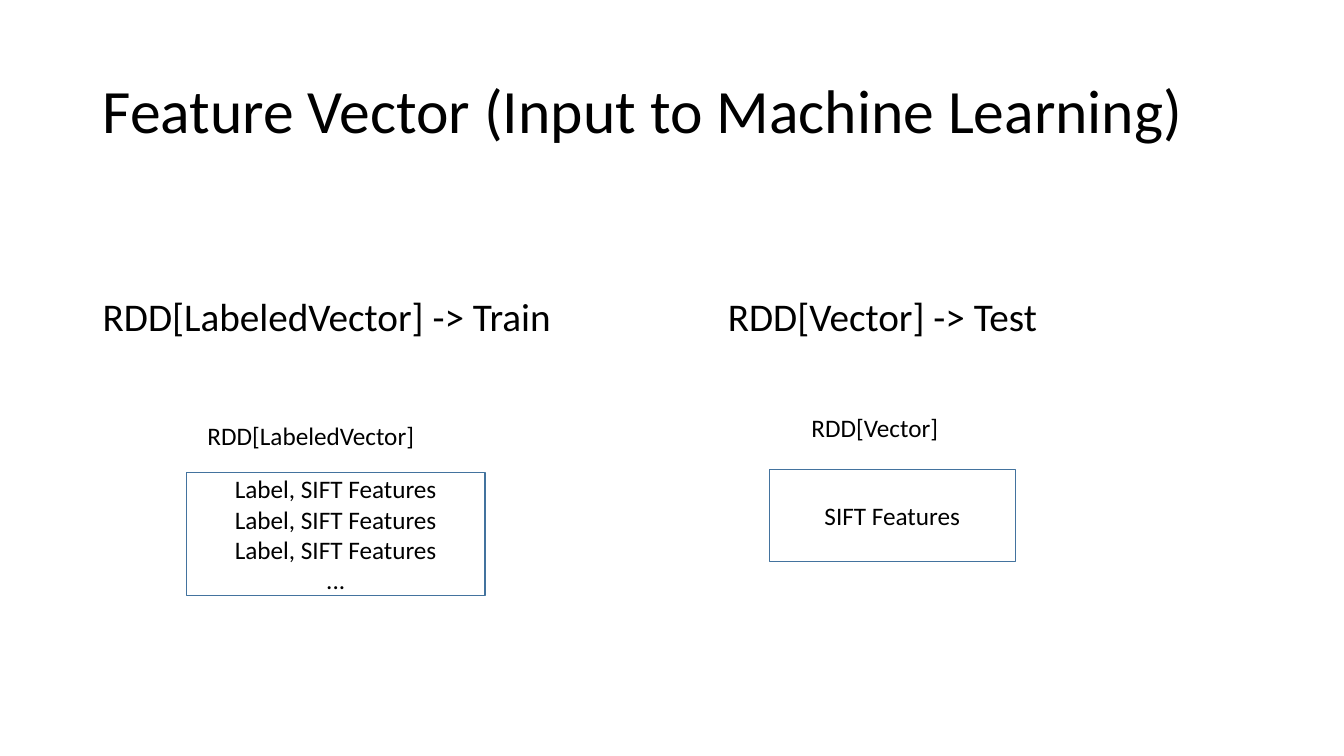
from pptx import Presentation
from pptx.dml.color import RGBColor as RGB
from pptx.enum.shapes import MSO_SHAPE as SHAPE
from pptx.enum.text import MSO_ANCHOR as ANCHOR, PP_ALIGN as ALIGN
from pptx.util import Inches, Pt

FONT = "Calibri"
COLORS = {"text": "000000", "fill": "FFFFFF", "line": "43739E"}


def color(name):
    return RGB.from_string(COLORS[name])


def write(shape, text, size, align=ALIGN.LEFT, anchor=ANCHOR.TOP):
    frame = shape.text_frame
    frame.word_wrap = True
    frame.vertical_anchor = anchor
    frame.text = text
    for para in frame.paragraphs:
        para.alignment = align
        for run in para.runs:
            run.font.name = FONT
            run.font.size = Pt(size)
            run.font.color.rgb = color("text")
    return frame


def add_text(slide, area, text, size, anchor=ANCHOR.TOP):
    box = slide.shapes.add_textbox(*map(Inches, area))
    return write(box, text, size, anchor=anchor)


def add_head(slide, area, text, size, anchor=ANCHOR.TOP, before=0):
    para = add_text(slide, area, text, size, anchor).paragraphs[0]
    para.line_spacing = 0.9
    para.space_before = Pt(before)


def add_box(slide, area, lines):
    box = slide.shapes.add_shape(SHAPE.RECTANGLE, *map(Inches, area))
    box.shadow.inherit = False
    box.fill.solid()
    box.fill.fore_color.rgb = color("fill")
    box.line.color.rgb = color("line")
    box.line.width = Pt(1)
    write(box, "\n".join(lines), 18, ALIGN.CENTER, ANCHOR.MIDDLE)


def main():
    deck = Presentation()
    deck.slide_width, deck.slide_height = Inches(13.33), Inches(7.5)
    slide = deck.slides.add_slide(deck.slide_layouts[6])

    # Title
    add_head(slide, (0.92, 0.4, 11.5, 1.45),
             "Feature Vector (Input to Machine Learning)", 44, ANCHOR.MIDDLE)

    # Column headings
    add_head(slide, (0.92, 2.9, 6.2, 3.86),
             "RDD[LabeledVector] -> Train", 28, before=10)
    add_head(slide, (7.12, 2.9, 5.3, 3.86),
             "RDD[Vector] -> Test", 28, before=10)

    # Training data
    add_box(slide, (1.85, 4.69, 2.96, 1.22),
            ["Label, SIFT Features"] * 3 + ["..."])
    add_text(slide, (1.96, 4.12, 2.44, 0.4), "RDD[LabeledVector]", 18)

    # Test data
    add_box(slide, (7.63, 4.66, 2.44, 0.91), ["SIFT Features"])
    add_text(slide, (7.95, 4.04, 2.23, 0.4), "RDD[Vector]", 18)

    deck.save("out.pptx")


if __name__ == "__main__":
    main()
